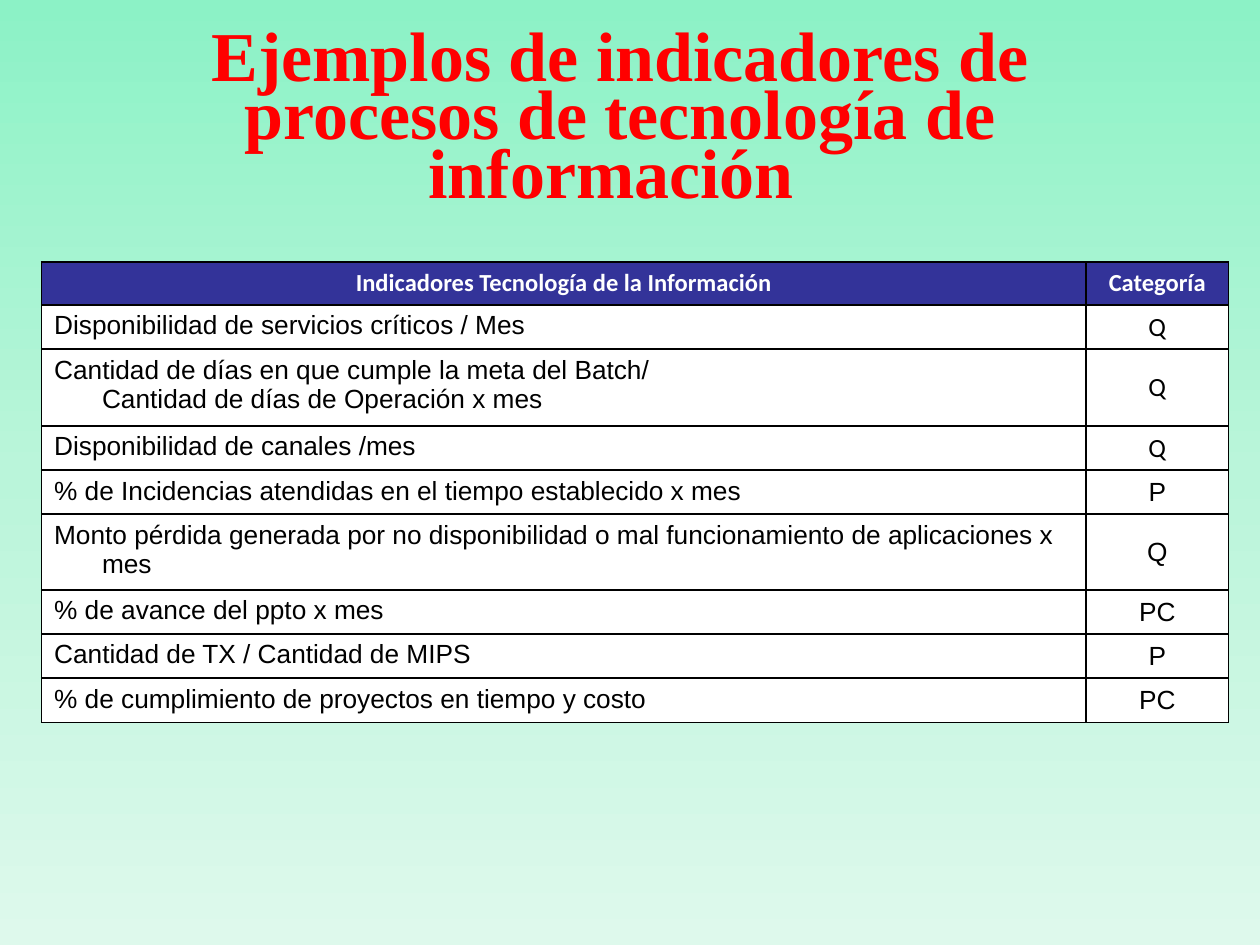
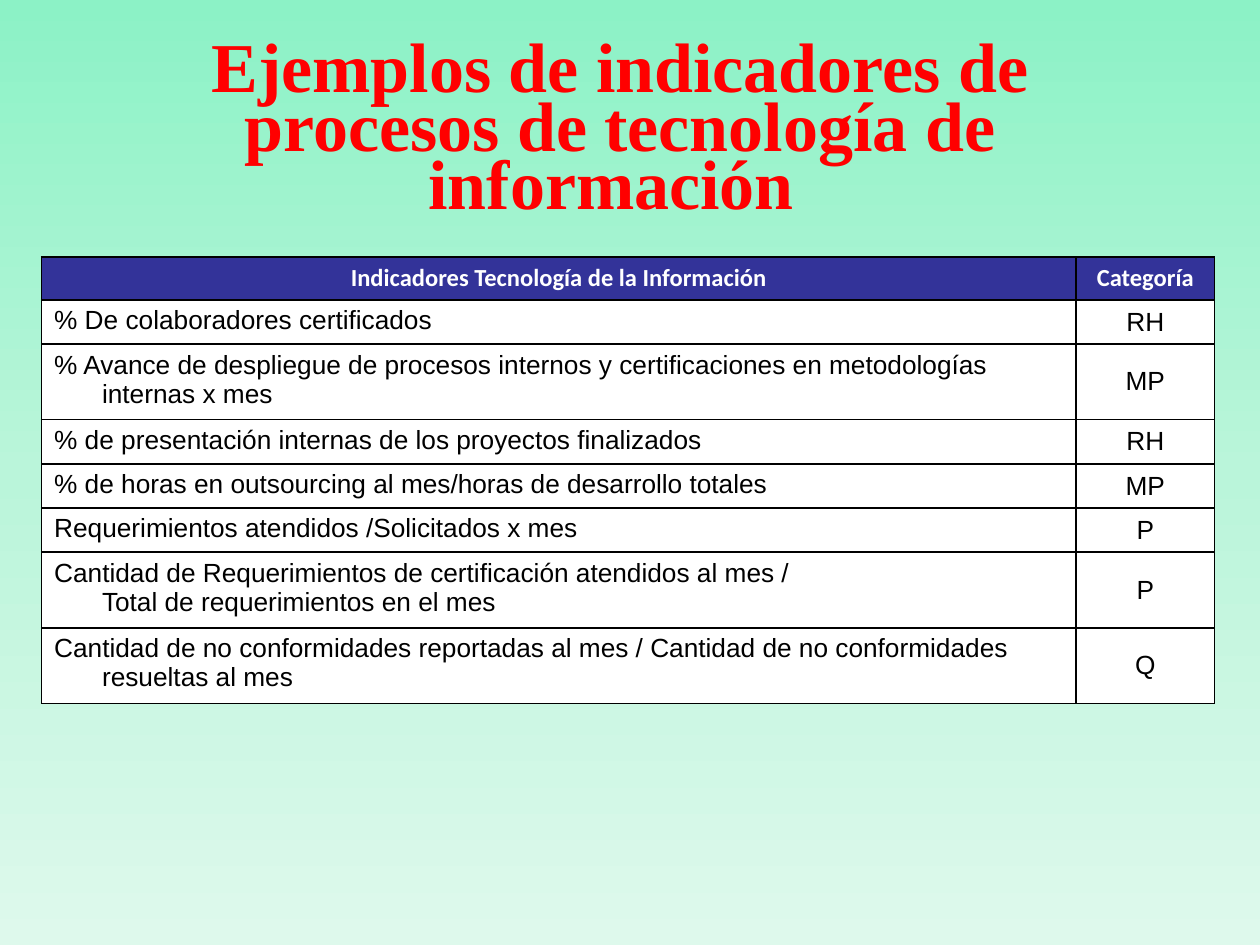
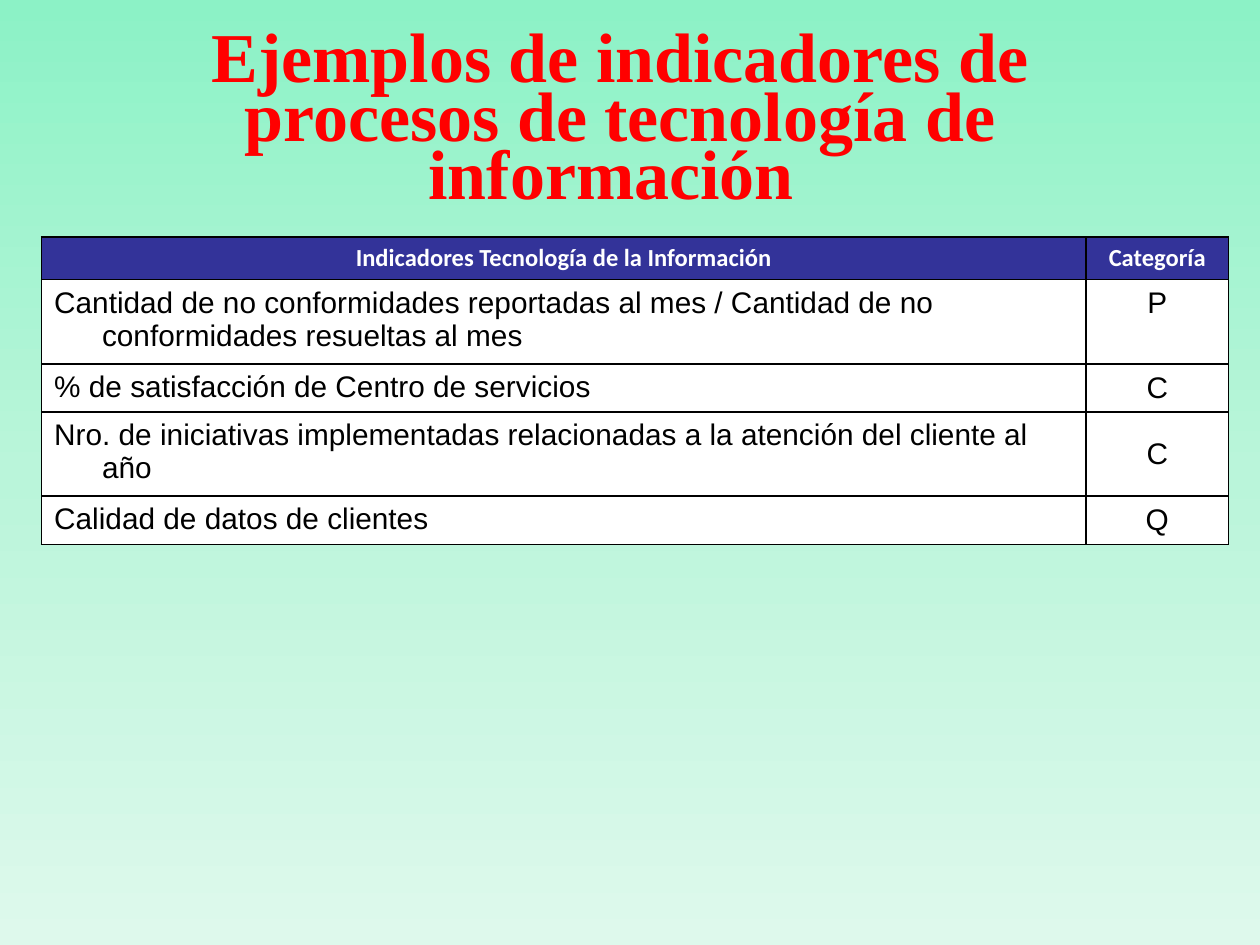
import copy
import dataclasses
import typing

import pptx
import pptx.dml.color
import pptx.enum.text
import pptx.oxml
import pptx.oxml.ns
import pptx.util

Inches = pptx.util.Inches
Pt = pptx.util.Pt
qn = pptx.oxml.ns.qn
ALIGN = pptx.enum.text.PP_ALIGN
ANCHOR = pptx.enum.text.MSO_ANCHOR

COLORS = {
    "title": "FF0000",
    "header": "333399",
    "header_text": "FFFFFF",
    "body": "FFFFFF",
    "body_text": "000000",
    "border": "000000",
}
BACKGROUND_STOPS = [(0, "8CF2C6"), (0.5, "BAF5DA"), (1, "DEF9EC")]
TITLE = "Ejemplos de indicadores de procesos de tecnología de información "
HEADINGS = ("Indicadores Tecnología de la Información", "Categoría")
LINE_FACTORS = {"Arial": 1.12, "Calibri": 1.22}
HANGING_INDENT = Inches(0.38)


def rgb(hex_color):
    return pptx.dml.color.RGBColor.from_string(hex_color)


@dataclasses.dataclass
class Indicator:
    text: str
    category: str
    lines: int = 1
    category_font: str = "Arial"
    category_anchor: typing.Any = ANCHOR.MIDDLE
    height: float = 0

    def row_height(self, size):
        """Height in inches: the text lines plus the cell margins."""
        line = size * LINE_FACTORS[self.category_font] / 72
        return self.height or round(self.lines * line + 0.1, 2)


class IndicatorDeck:
    """Holds the shared style and the slide being built."""

    def __init__(self):
        self.deck = pptx.Presentation()
        self.deck.slide_width = Inches(10)
        self.deck.slide_height = Inches(7.5)
        self.page = None
        self.set_background()

    def set_background(self):
        master = self.deck.slide_master
        fill = master.background.fill
        fill.gradient()
        fill.gradient_angle = 270
        stop_list = next(master.element.iter(qn("a:gsLst")))
        stop_list.insert(1, copy.deepcopy(stop_list[0]))
        for stop, (position, color) in zip(fill.gradient_stops, BACKGROUND_STOPS):
            stop.position = position
            stop.color.rgb = rgb(color)

    def add_page(self):
        self.page = self.deck.slides.add_slide(self.deck.slide_layouts[6])

    def set_text(self, para, text, font, size, color, bold=False, align=ALIGN.LEFT):
        para.text = text
        para.alignment = align
        for span in para.runs:
            span.font.name = font
            span.font.size = Pt(size)
            span.font.bold = bold
            span.font.color.rgb = rgb(COLORS[color])
        for line_break in para._p.findall(qn("a:br")):
            line_break.append(copy.deepcopy(para.runs[0]._r.rPr))

    def add_title(self, top):
        box = self.page.shapes.add_textbox(
            Inches(0.98), Inches(top), Inches(7.88), Inches(1.08))
        frame = box.text_frame
        frame.word_wrap = True
        frame.vertical_anchor = ANCHOR.MIDDLE
        para = frame.paragraphs[0]
        self.set_text(para, TITLE, "Times New Roman", 40, "title", True, ALIGN.CENTER)
        para.line_spacing = 0.7

    def add_borders(self, cell):
        properties = cell._tc.get_or_add_tcPr()
        for index, side in enumerate(("lnL", "lnR", "lnT", "lnB")):
            properties.insert(index, pptx.oxml.parse_xml(
                f'<a:{side} {pptx.oxml.ns.nsdecls("a")} w="{Pt(1)}"><a:solidFill>'
                f'<a:srgbClr val="{COLORS["border"]}"/></a:solidFill></a:{side}>'))

    def fill_cell(self, cell, text, fill, anchor, **style):
        cell.fill.solid()
        cell.fill.fore_color.rgb = rgb(COLORS[fill])
        cell.vertical_anchor = anchor
        self.add_borders(cell)
        para = cell.text_frame.paragraphs[0]
        self.set_text(para, text, color=fill + "_text", **style)
        properties = para._p.get_or_add_pPr()
        properties.set("marL", str(HANGING_INDENT))
        properties.set("indent", str(-HANGING_INDENT))

    def add_indicator_table(self, top, widths, size, indicators):
        heights = [0.34] + [item.row_height(size) for item in indicators]
        table = self.page.shapes.add_table(
            len(heights), len(widths), Inches(0.33), Inches(top),
            Inches(sum(widths)), Inches(sum(heights))).table
        table.horz_banding = False
        for column, width in zip(table.columns, widths):
            column.width = Inches(width)
        for row, height in zip(table.rows, heights):
            row.height = Inches(height)
        for column, heading in enumerate(HEADINGS):
            self.fill_cell(table.cell(0, column), heading, "header", ANCHOR.MIDDLE,
                           font="Calibri", size=14, bold=True, align=ALIGN.CENTER)
        for row, item in enumerate(indicators, start=1):
            self.fill_cell(table.cell(row, 0), item.text, "body", ANCHOR.TOP,
                           font="Arial", size=size)
            self.fill_cell(table.cell(row, 1), item.category, "body",
                           item.category_anchor, font=item.category_font,
                           size=size, align=ALIGN.CENTER)


NONCONFORMITIES = ("Cantidad de no conformidades reportadas al mes / "
                   "Cantidad de no conformidades resueltas al mes")
OPERATION = [
    Indicator("Disponibilidad de servicios críticos / Mes", "Q",
              category_font="Calibri"),
    Indicator("Cantidad de días en que cumple la meta del Batch/ \n"
              "Cantidad de días de Operación x mes", "Q", 2,
              category_font="Calibri", height=0.61),
    Indicator("Disponibilidad de canales /mes", "Q", category_font="Calibri"),
    Indicator("% de Incidencias atendidas en el tiempo establecido x mes", "P"),
    Indicator("Monto pérdida generada por no disponibilidad o mal "
              "funcionamiento de aplicaciones x mes", "Q", 2),
    Indicator("% de avance del ppto x mes", "PC"),
    Indicator("Cantidad de TX / Cantidad de MIPS", "P"),
    Indicator("% de cumplimiento de proyectos en tiempo y costo", "PC"),
]
DEVELOPMENT = [
    Indicator("% De colaboradores certificados", "RH"),
    Indicator("% Avance de despliegue de procesos internos y certificaciones "
              "en metodologías internas x mes", "MP", 2),
    Indicator("% de presentación internas de los proyectos finalizados", "RH"),
    Indicator("% de horas en outsourcing al mes/horas de desarrollo totales", "MP"),
    Indicator("Requerimientos atendidos /Solicitados x mes", "P"),
    Indicator("Cantidad de Requerimientos de certificación atendidos al mes /\n"
              "Total de requerimientos en el mes", "P", 2),
    Indicator(NONCONFORMITIES, "Q", 2),
]
SERVICE = [
    Indicator(NONCONFORMITIES, "P", 2, category_anchor=ANCHOR.TOP),
    Indicator("% de satisfacción de Centro de servicios", "C"),
    Indicator("Nro. de iniciativas implementadas relacionadas a la atención "
              "del cliente al año", "C", 2),
    Indicator("Calidad de datos de clientes", "Q"),
]
# Title top, table top, column widths, text size, indicators
PAGES = [
    (0.43, 2.08, (8.29, 1.13), 15, OPERATION),
    (0.52, 2.04, (8.21, 1.1), 15, DEVELOPMENT),
    (0.44, 1.88, (8.29, 1.13), 17, SERVICE),
]


def main():
    builder = IndicatorDeck()
    for title_top, table_top, widths, size, indicators in PAGES:
        builder.add_page()
        builder.add_title(title_top)
        builder.add_indicator_table(table_top, widths, size, indicators)
    builder.deck.save("out.pptx")


if __name__ == "__main__":
    main()
